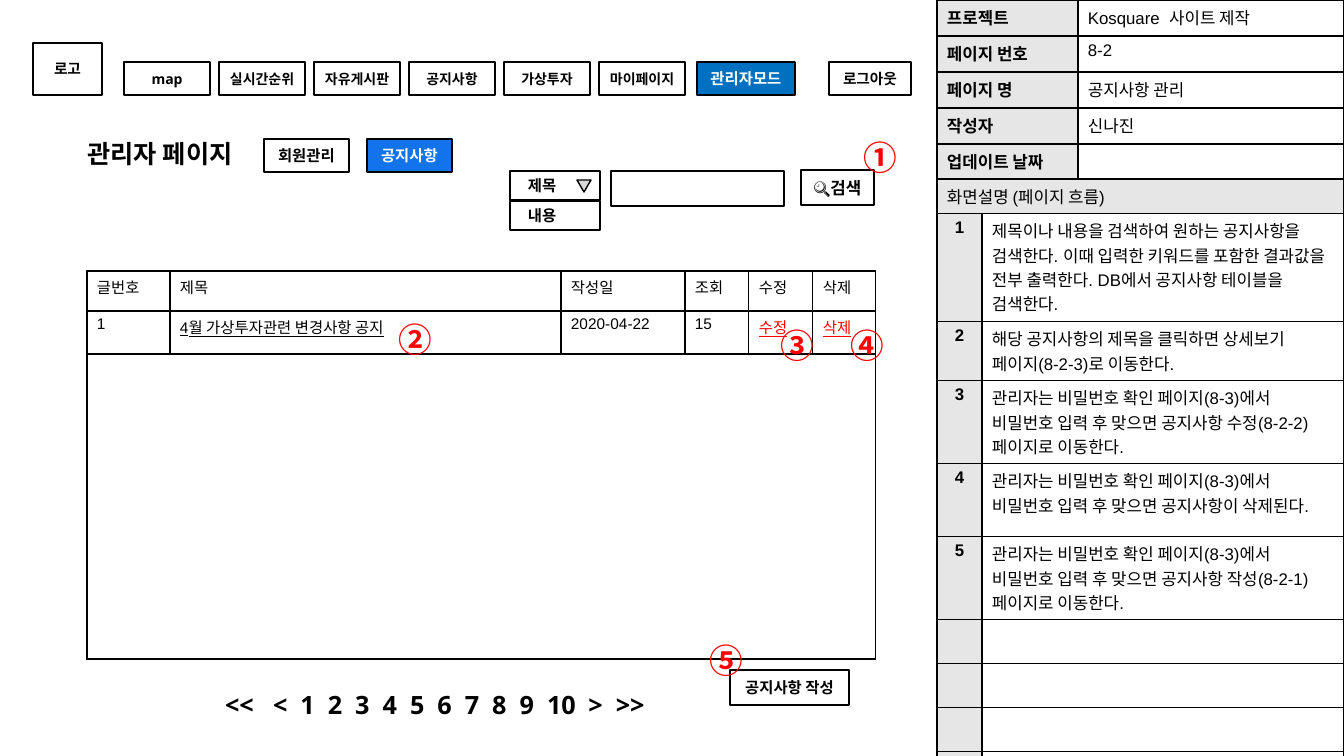
import pptx
import pptx.util
import pptx.dml.color
import pptx.enum.shapes
import pptx.enum.text
import pptx.oxml
import pptx.oxml.ns

COLORS = {"ink": "000000", "paper": "FFFFFF", "label": "E7E6E6", "admin": "0070C0",
          "active": "1273EB", "arrow": "D8D8D8", "alert": "FF0000"}
HEADING, BODY, KOREAN = "Open Sans", "Arial", "Noto Sans CJK KR"

PROJECT = [("프로젝트", "Kosquare  사이트 제작"), ("페이지 번호", "8-2"),
           ("페이지 명", "공지사항 관리"), ("작성자", "신나진"), ("업데이트 날짜", "")]
FLOW_TITLE = "화면설명 (페이지 흐름)"
FLOW = [
    "제목이나 내용을 검색하여 원하는 공지사항을 검색한다. 이때 입력한 키워드를 포함한 "
    "결과값을 전부 출력한다. DB에서 공지사항 테이블을 검색한다.",
    "해당 공지사항의 제목을 클릭하면 상세보기 페이지(8-2-3)로 이동한다.",
    "관리자는 비밀번호 확인 페이지(8-3)에서 비밀번호 입력 후 맞으면 공지사항 수정(8-2-2)페이지로 이동한다.",
    "관리자는 비밀번호 확인 페이지(8-3)에서 비밀번호 입력 후 맞으면 공지사항이 삭제된다.",
    "관리자는 비밀번호 확인 페이지(8-3)에서 비밀번호 입력 후 맞으면 공지사항 작성(8-2-1)페이지로 이동한다.",
]
SPARE_FLOW_ROWS = 4
NOTICES = [["글번호", "제목", "작성일", "조회", "수정", "삭제"],
           ["1", "4월 가상투자관련 변경사항 공지", "2020-04-22", "15", "수정", "삭제"]]
MENU = ["map", "실시간순위", "자유게시판", "공지사항", "가상투자", "마이페이지"]
# text, (left, top, width, height), size, fill
BUTTONS = [
    ("로고", (33, 43, 69, 52), 10.5, None),
    ("관리자모드", (697, 62, 98, 33), 11, "admin"),
    ("로그아웃", (829, 62, 82, 33), 10.5, None),
    ("회원관리", (264, 139, 85, 33), 11, "paper"),
    ("공지사항", (367, 139, 85, 33), 11, "active"),
    ("🔍검색", (801, 170, 73, 35), 12, None),
    ("", (611, 171, 173, 35), 11, None),
    ("공지사항 작성", (730, 670, 119, 35), 11, None),
]
SEARCH_FIELDS = ["제목", "내용"]
MARKERS = [("①", 854, 132), ("②", 389, 314), ("③", 771, 320), ("④", 841, 320), ("⑤", 700, 635)]
PAGES = ["<<", "<", *map(str, range(1, 11)), ">", ">>"]

ALIGN = pptx.enum.text.PP_ALIGN
SHAPES = pptx.enum.shapes.MSO_SHAPE


def px(length):
    return pptx.util.Emu(round(length * 914400 / 100.8))


def rgb(name):
    return pptx.dml.color.RGBColor.from_string(COLORS[name])


def paint(fill, color):
    if color:
        fill.solid()
        fill.fore_color.rgb = rgb(color)
    else:
        fill.background()


def write(paragraph, text, size, font, color="ink", bold=False, underline=False, align=ALIGN.LEFT):
    paragraph.alignment = align
    run = paragraph.add_run()
    run.text = text
    run.font.size = pptx.util.Pt(size)
    run.font.name = font
    run.font.bold = bold
    run.font.underline = underline
    run.font.color.rgb = rgb(color)
    east_asian = pptx.oxml.parse_xml(
        f'<a:ea {pptx.oxml.ns.nsdecls("a")} typeface="{KOREAN}"/>')
    run.font._element.find(pptx.oxml.ns.qn("a:latin")).addnext(east_asian)


def prepare_frame(frame, side=0, edge=0, middle=True):
    frame.word_wrap = True
    frame.margin_left = frame.margin_right = px(side)
    frame.margin_top = frame.margin_bottom = px(edge)
    anchors = pptx.enum.text.MSO_ANCHOR
    frame.vertical_anchor = anchors.MIDDLE if middle else anchors.TOP
    return frame.paragraphs[0]


def add_outlined(kind, box, fill=None, line=1.5):
    shape = slide.shapes.add_shape(kind, *map(px, box))
    shape.shadow.inherit = False
    paint(shape.fill, fill)
    shape.line.color.rgb = rgb("ink")
    shape.line.width = pptx.util.Pt(line)
    return shape


def add_button(text, box, size, fill=None, align=ALIGN.CENTER, side=0):
    paragraph = prepare_frame(add_outlined(SHAPES.RECTANGLE, box, fill).text_frame, side)
    if text:
        color = "paper" if fill in ("admin", "active") else "ink"
        write(paragraph, text, size, HEADING, color, bold=True, align=align)


def add_label(box, **frame):
    return prepare_frame(slide.shapes.add_textbox(*map(px, box)).text_frame, **frame)


def add_grid(left, top, widths, heights):
    table = slide.shapes.add_table(len(heights), len(widths), px(left), px(top),
                                   px(sum(widths)), px(sum(heights))).table
    table.first_row = table.horz_banding = False
    for column, width in zip(table.columns, widths):
        column.width = px(width)
    for row, height in zip(table.rows, heights):
        row.height = px(height)
    for cell in table.iter_cells():
        properties = cell._tc.get_or_add_tcPr()
        for side in "LRTB":
            properties.append(pptx.oxml.parse_xml(
                f'<a:ln{side} {pptx.oxml.ns.nsdecls("a")} w="12700"><a:solidFill>'
                f'<a:srgbClr val="{COLORS["ink"]}"/></a:solidFill></a:ln{side}>'))
    return table


def fill_cell(cell, text, size, fill=None, **style):
    paint(cell.fill, fill)
    cell.margin_left = cell.margin_right = px(10)
    cell.margin_top = cell.margin_bottom = px(5)
    if text:
        write(cell.text_frame.paragraphs[0], text, size, BODY, **style)


deck = pptx.Presentation()
deck.slide_width, deck.slide_height = px(1344), px(756)
slide = deck.slides.add_slide(deck.slide_layouts[6])

project = add_grid(937, 0, [141, 266], [36, 36, 36, 36, 35])
for row, (label, value) in enumerate(PROJECT):
    fill_cell(project.cell(row, 0), label, 12, "label", bold=True)
    fill_cell(project.cell(row, 1), value, 12)

flow = add_grid(937, 179, [45, 362], [34, 108, 59, 83, 73, 83] + [44] * SPARE_FLOW_ROWS)
flow.cell(0, 0).merge(flow.cell(0, 1))
fill_cell(flow.cell(0, 0), FLOW_TITLE, 12, "label")
for row, step in enumerate(FLOW + [""] * SPARE_FLOW_ROWS, 1):
    fill_cell(flow.cell(row, 0), str(row) if step else "", 12, "label",
              bold=True, align=ALIGN.CENTER)
    fill_cell(flow.cell(row, 1), step, 12)

for place, item in enumerate(MENU):
    add_button(item, (124 + 95 * place, 62, 86, 33), 10)
for text, box, size, fill in BUTTONS:
    add_button(text, box, size, fill)
for place, field in enumerate(SEARCH_FIELDS):
    add_button(field, (510, 171 + 30 * place, 90, 29), 11, align=ALIGN.LEFT, side=18)
add_outlined(SHAPES.ISOSCELES_TRIANGLE, (577, 180, 14, 12), "arrow", 1).rotation = 180

write(add_label((69, 135, 182, 37)), "관리자 페이지", 18, HEADING, bold=True, align=ALIGN.CENTER)

notices = add_grid(87, 271, [83, 391, 124, 64, 64, 63], [40, 43, 305])
notices.cell(2, 0).merge(notices.cell(2, 5))
fill_cell(notices.cell(2, 0), "", 11, "paper")
for row, notice in enumerate(NOTICES):
    for column, text in enumerate(notice):
        fill_cell(notices.cell(row, column), text, 11, "paper",
                  color="alert" if row and column > 3 else "ink",
                  underline=bool(row) and column in (1, 4, 5))
for column in (3,):
    notices.cell(1, column).text_frame.paragraphs[0].runs[0].font.color.rgb = rgb("ink")

pager = add_label((225, 686, 480, 37))
write(pager, "\t".join(PAGES), 18, HEADING, bold=True)
# "10" is wider than the other pages, so the stops after it sit half a step further on
stops = [48 + 27.4 * place + (14 if place > 10 else 0) for place in range(len(PAGES) - 1)]
pager._p.get_or_add_pPr().append(pptx.oxml.parse_xml(
    f'<a:tabLst {pptx.oxml.ns.nsdecls("a")}>'
    + "".join(f'<a:tab pos="{px(stop)}" algn="l"/>' for stop in stops) + "</a:tabLst>"))

for number, left, top in MARKERS:
    write(add_label((left, top, 60, 50), side=10, edge=5, middle=False),
          number, 24, KOREAN, "alert", bold=True)

deck.save("out.pptx")
